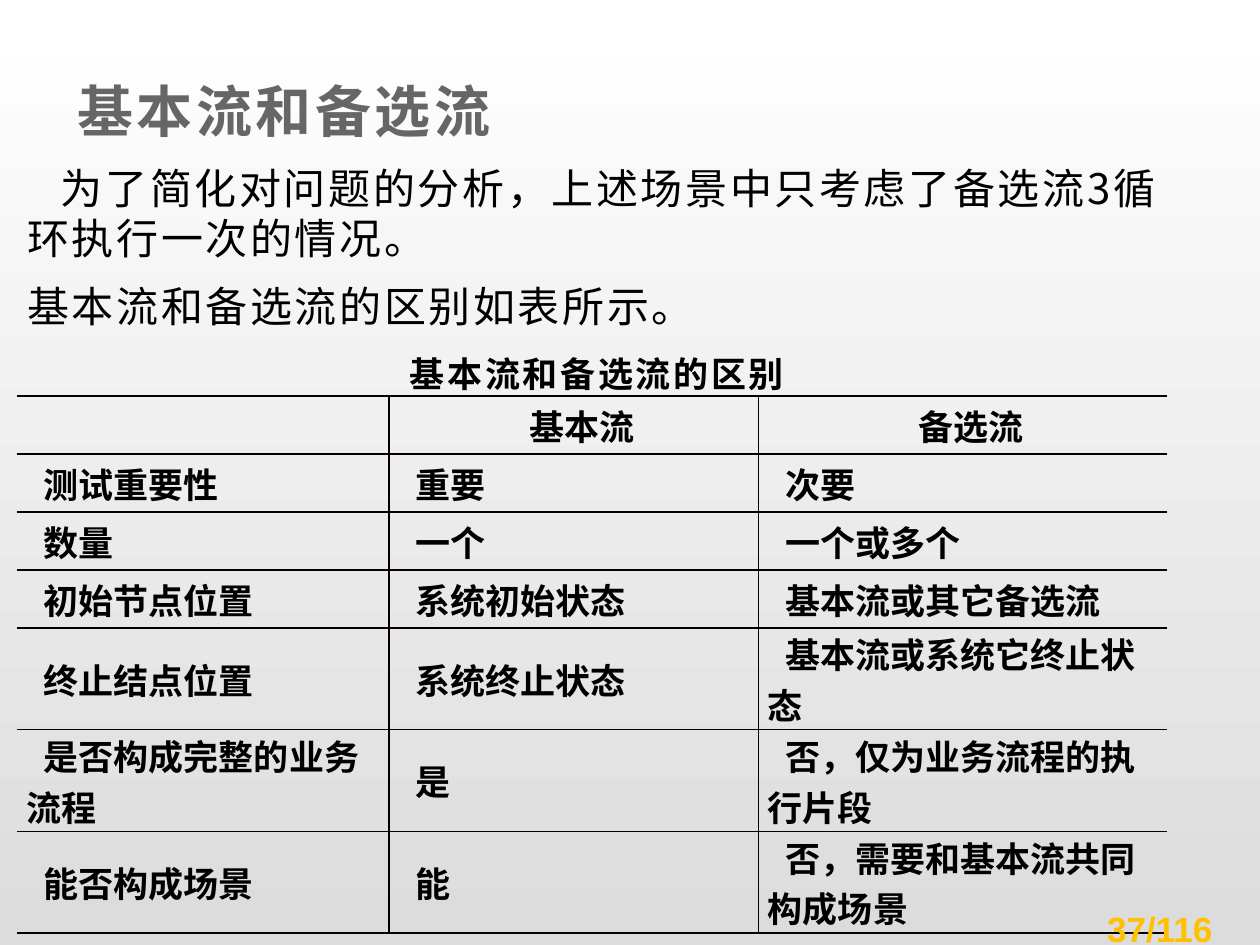
from lxml.etree import SubElement
from pptx import Presentation
from pptx.dml.color import RGBColor
from pptx.enum.text import MSO_ANCHOR, PP_ALIGN
from pptx.oxml.ns import qn
from pptx.util import Cm, Pt

BLACK = RGBColor(0, 0, 0)
GREY = RGBColor(0x66, 0x66, 0x66)
GOLD = RGBColor(0xFF, 0xC0, 0x00)
WHITE = RGBColor(0xFF, 0xFF, 0xFF)
SILVER = RGBColor(0xDC, 0xDC, 0xDC)
RULE = RGBColor(0x08, 0, 0)

ROWS = [
    ("", "基本流", "备选流"),
    ("测试重要性", "重要", "次要"),
    ("数量", "一个", "一个或多个"),
    ("初始节点位置", "系统初始状态", "基本流或其它备选流"),
    ("终止结点位置", "系统终止状态", "基本流或系统它终止状态"),
    ("是否构成完整的业务流程", "是", "否，仅为业务流程的执行片段"),
    ("能否构成场景", "能", "否，需要和基本流共同构成场景"),
]
# Four rows of one line, three rows of two lines
HEIGHTS = [1.17] * 4 + [2.05] * 3


class Deck:
    """Holds the style and the current slide."""

    font = "Noto Sans CJK SC"

    def __init__(self, wide, high):
        self.prs = Presentation()
        self.prs.slide_width, self.prs.slide_height = Cm(wide), Cm(high)
        self.slide = self.prs.slides.add_slide(self.prs.slide_layouts[5])

    def back(self, top, bottom):
        fill = self.slide.background.fill
        fill.gradient()
        fill.gradient_angle = 270
        for stop, color in zip(fill.gradient_stops, (top, bottom)):
            stop.color.rgb = color

    def run(self, para, text, size, color=BLACK, bold=False, gap=0, font=None):
        run = para.add_run()
        run.text = text
        face = run.font
        face.name = font or self.font
        face.size, face.bold = Pt(size), bold
        face.color.rgb = color
        props = face._element
        SubElement(props, qn("a:ea")).set("typeface", face.name)
        if gap:
            props.set("spc", str(int(gap * 100)))

    def indent(self, para, width):
        props = para._p.get_or_add_pPr()
        props.set("marL", "0")
        props.set("indent", str(Cm(width)))

    def title(self, text, box):
        shape = self.slide.shapes.title
        shape.left, shape.top, shape.width, shape.height = map(Cm, box)
        frame = shape.text_frame
        frame.vertical_anchor = MSO_ANCHOR.BOTTOM
        para = frame.paragraphs[0]
        para.alignment = PP_ALIGN.LEFT
        self.run(para, text, 32, GREY, True, 2)

    def frame(self, box):
        frame = self.slide.shapes.add_textbox(*map(Cm, box)).text_frame
        frame.word_wrap = True
        return frame

    def body(self, parts, box):
        frame = self.frame(box)
        for i, (text, size, bold, align, space, first) in enumerate(parts):
            para = frame.add_paragraph() if i else frame.paragraphs[0]
            para.alignment, para.line_spacing = align, space
            para.space_after = Pt(10)
            self.indent(para, first)
            self.run(para, text, size, bold=bold, gap=1.5)

    def label(self, text, box):
        para = self.frame(box).paragraphs[0]
        self.run(para, text, 20, GOLD, True, font="Arial")

    def edges(self, cell, sides):
        props = cell._tc.get_or_add_tcPr()
        for i, side in enumerate("LRTB"):
            line = SubElement(props, qn("a:ln" + side))
            props.insert(i, line)
            if side in sides:
                line.set("w", str(Pt(1)))
                fill = SubElement(line, qn("a:solidFill"))
                SubElement(fill, qn("a:srgbClr")).set("val", str(RULE))
            else:
                SubElement(line, qn("a:noFill"))

    def table(self, rows, left, top, widths, heights):
        grid = self.slide.shapes.add_table(
            len(rows), len(widths), Cm(left), Cm(top),
            Cm(sum(widths)), Cm(sum(heights))).table
        grid.first_row = grid.horz_banding = False
        for col, width in zip(grid.columns, widths):
            col.width = Cm(width)
        for r, row in enumerate(rows):
            grid.rows[r].height = Cm(heights[r])
            for c, text in enumerate(row):
                cell = grid.cell(r, c)
                cell.fill.background()
                self.edges(cell, ("RTB", "LRTB", "LTB")[c])
                cell.vertical_anchor = MSO_ANCHOR.MIDDLE
                cell.margin_left = cell.margin_right = Cm(0.19)
                cell.margin_top = cell.margin_bottom = 0
                if text:
                    para = cell.text_frame.paragraphs[0]
                    para.alignment = PP_ALIGN.LEFT if r else PP_ALIGN.CENTER
                    self.indent(para, 0.35)
                    self.run(para, text, 20, bold=True)


def main():
    deck = Deck(25.4, 19.05)
    deck.back(WHITE, SILVER)

    # Introduction and table caption
    left, mid = PP_ALIGN.LEFT, PP_ALIGN.CENTER
    deck.body([
        ("为了简化对问题的分析，上述场景中只考虑了备选流3循环执行一次的情况。",
         24, False, left, 1.0, 0.68),
        ("基本流和备选流的区别如表所示。", 24, False, left, 1.0, 0),
        ("基本流和备选流的区别", 20, True, mid, 1.1, 0),
    ], (0.3, 3.15, 23.47, 14.63))

    # Heading
    deck.title("基本流和备选流", (1.3, 0.74, 21.08, 2.29))

    # Comparison table
    deck.table(ROWS, 0.34, 7.98, (7.5, 7.45, 8.23), HEIGHTS)

    # Page number
    deck.label("37/116", (22.07, 18.16, 3.38, 1.27))
    deck.prs.save("out.pptx")


if __name__ == "__main__":
    main()
